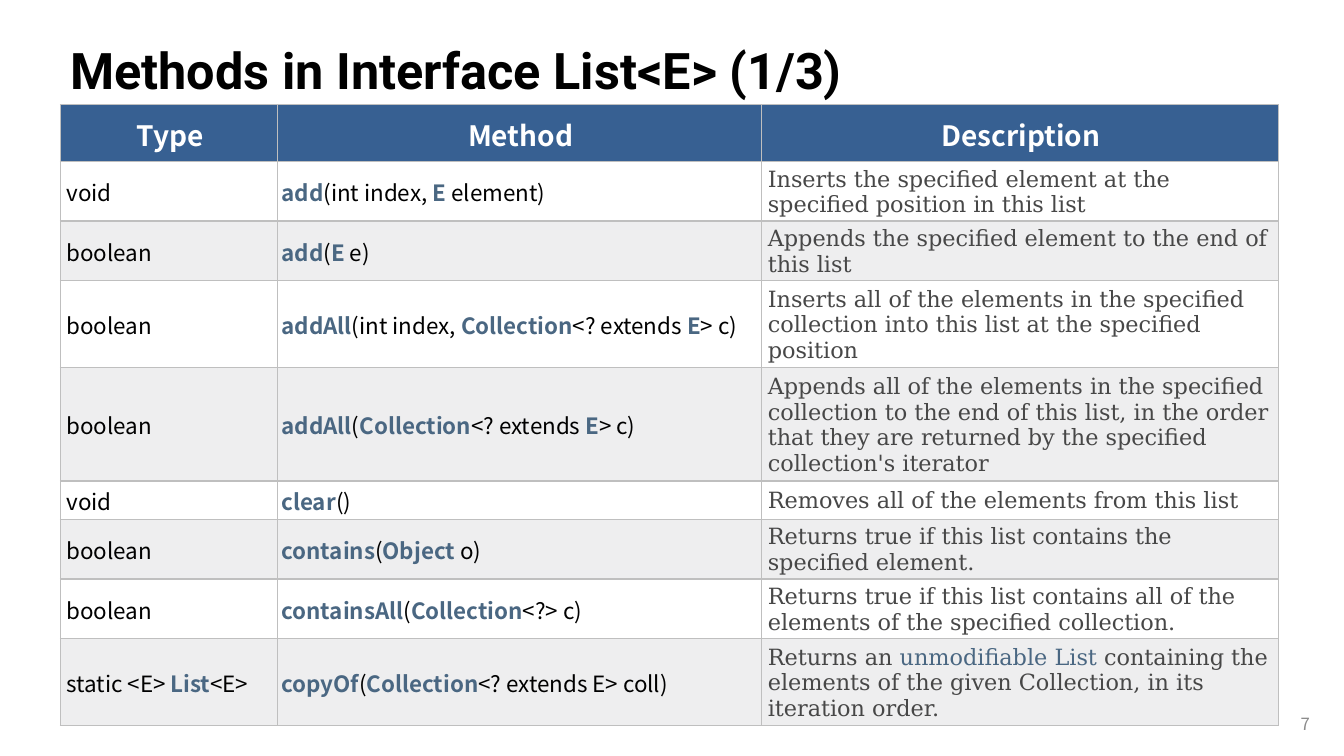
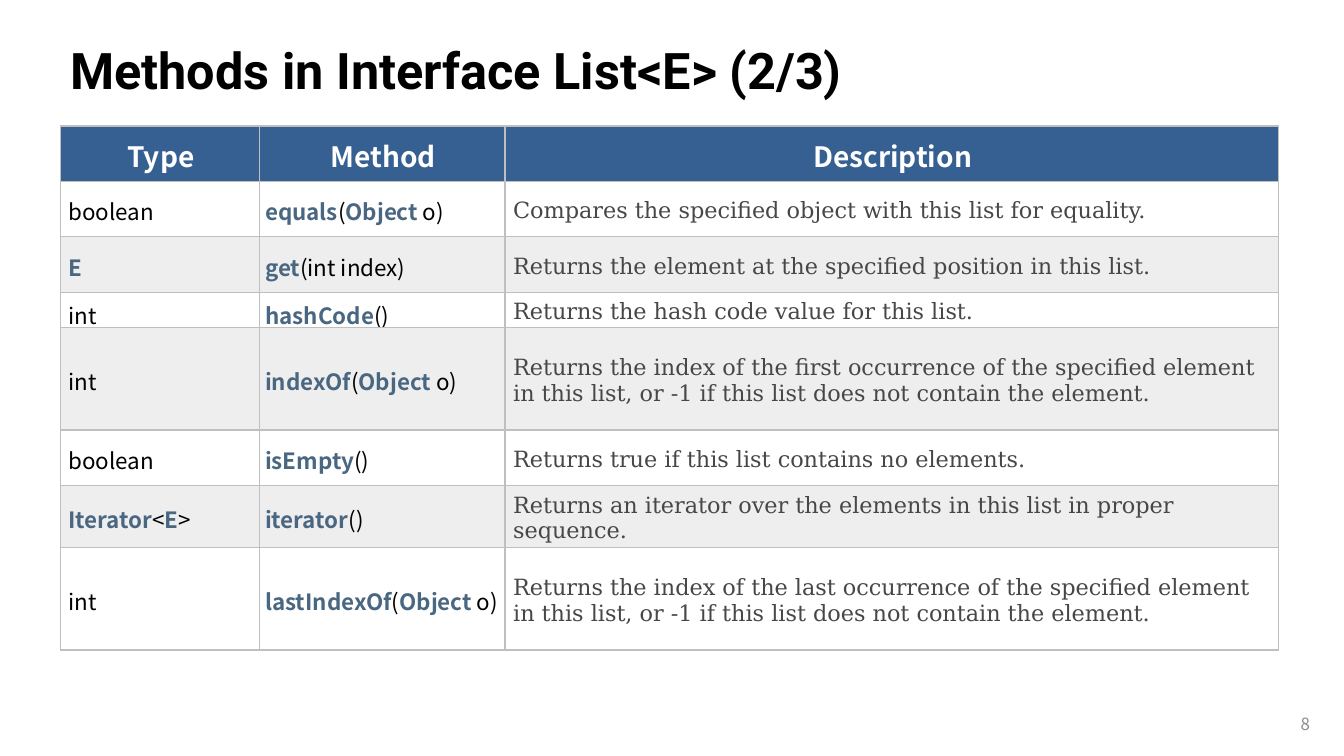
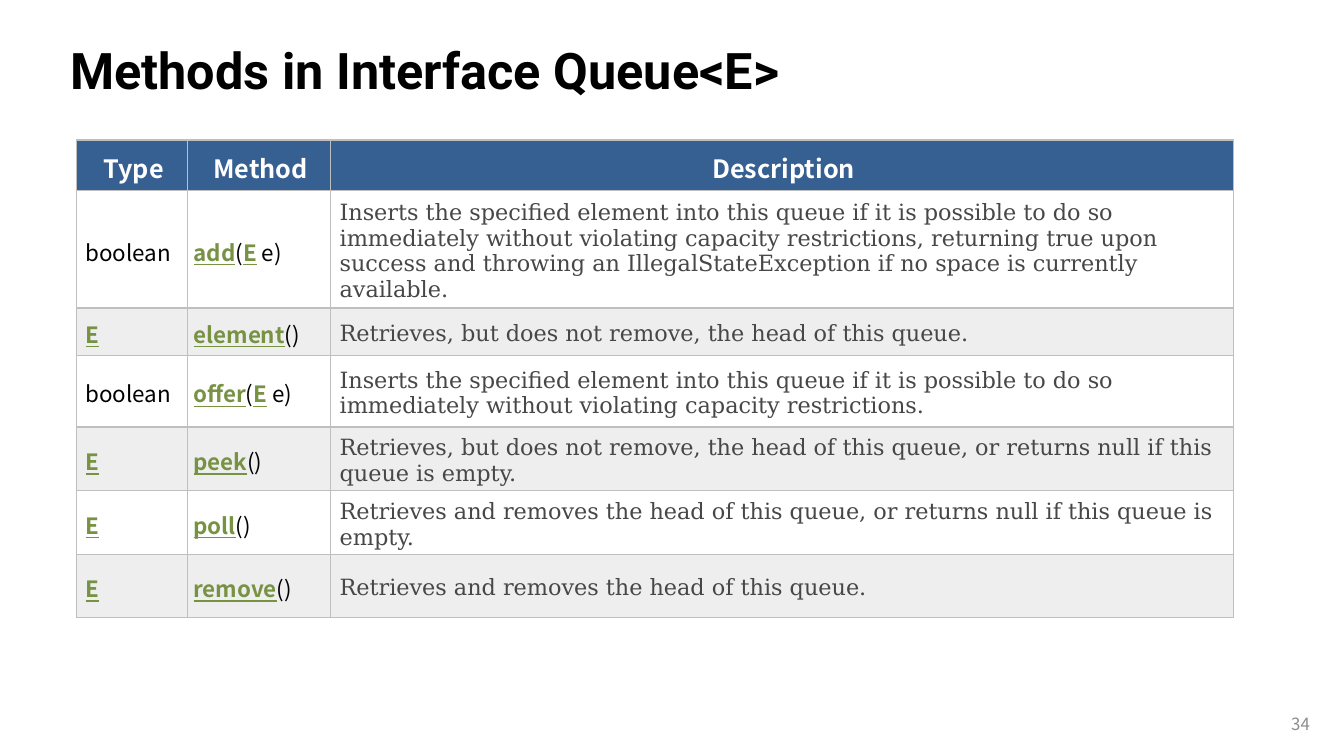
from pptx import Presentation, util as u
from pptx.dml.color import RGBColor
from pptx.enum import text
from pptx.oxml import parse_xml
from pptx.oxml.ns import nsdecls

COLOURS = {
    "title": "000000", "code": "000000", "prose": "474747", "page": "8C8C8C",
    "head": "376092", "head_text": "FFFFFF", "odd": "FFFFFF", "even": "EEEEEF",
    "border": "BFBFBF", "link": "4A6782", "green": "789244",
}
HEADINGS = ("Type", "Method", "Description")
ALIGN, ANCHOR = text.PP_ALIGN, text.MSO_ANCHOR


def add_run(p, words, *, font, size, colour, bold=False, underline=False):
    """Add one formatted run; a tilde stands for a no-break space."""
    r = p.add_run()
    r.text = words.replace("~", chr(160))
    r.font.name, r.font.size = font, u.Pt(size)
    r.font.bold, r.font.underline = bold, underline
    r.font.color.rgb = RGBColor.from_string(COLOURS[colour])


class Deck:
    """Shared style and current slide; lengths are percentages of the slide."""
    SANS, SERIF, DISPLAY = "Noto Sans CJK KR", "DejaVu Serif", "Roboto"

    def __init__(self):
        self.prs = Presentation()
        self.prs.slide_width = u.Inches(13.33)
        self.prs.slide_height = u.Inches(7.5)
        self.s = None

    def x(self, share):
        return round(self.prs.slide_width * share / 100)

    def y(self, share):
        return round(self.prs.slide_height * share / 100)

    def slide(self, title, page):
        self.s = self.prs.slides.add_slide(self.prs.slide_layouts[6])
        self.label(title, 4.5, 3.87, 90.6, 10.53,
                   font=self.DISPLAY, size=36, colour="title", bold=True)
        self.label(str(page), 95.1, 93.07, 3.1, 5.33, align=ALIGN.RIGHT,
                   font=self.SANS, size=12, colour="page")

    def label(self, words, left, top, width, height, align=ALIGN.LEFT, **style):
        sp = self.s.shapes.add_textbox(self.x(left), self.y(top),
                                       self.x(width), self.y(height))
        tf = sp.text_frame
        tf.word_wrap, tf.vertical_anchor = True, ANCHOR.MIDDLE
        p = tf.paragraphs[0]
        p.alignment = align
        add_run(p, words, **style)

    def cell(self, cell, words, fill, inset, style, link=None, align=ALIGN.LEFT):
        """Fill a cell; words between asterisks take the link format."""
        cell.fill.solid()
        cell.fill.fore_color.rgb = RGBColor.from_string(COLOURS[fill])
        cell.vertical_anchor = ANCHOR.MIDDLE
        (cell.margin_left, cell.margin_top,
         cell.margin_right, cell.margin_bottom) = map(u.Inches, inset)
        p = cell.text_frame.paragraphs[0]
        p.alignment = align
        for i, part in enumerate(words.split("*")):
            if part:
                add_run(p, part, **(style | link if i % 2 else style))
        self.borders(cell)

    def borders(self, cell):
        tcPr = cell._tc.get_or_add_tcPr()
        for i, side in enumerate("LRTB"):
            tcPr.insert(i, parse_xml(
                f'<a:ln{side} {nsdecls("a")} w="{u.Pt(1)}"><a:solidFill>'
                f'<a:srgbClr val="{COLOURS["border"]}"/></a:solidFill></a:ln{side}>'))

    def methods(self, left, top, widths, head_height, rows, *, head_inset,
                name_inset, wide_inset, head_size=20, link="link", underline=False):
        """Table of methods; each row is height, type, method, description."""
        heights = [head_height] + [row[0] for row in rows]
        table = self.s.shapes.add_table(
            len(heights), len(widths), self.x(left), self.y(top),
            self.x(sum(widths)), self.y(sum(heights))).table
        for column, width in zip(table.columns, widths):
            column.width = self.x(width)
        for row, height in zip(table.rows, heights):
            row.height = self.y(height)

        # Header row
        head = dict(font=self.SANS, size=head_size, colour="head_text", bold=True)
        for c, words in enumerate(HEADINGS):
            self.cell(table.cell(0, c), words, "head", head_inset, head,
                      align=ALIGN.CENTER)

        # Body rows
        code = dict(font=self.SANS, size=16, colour="code")
        prose = dict(font=self.SERIF, size=16, colour="prose")
        code_link = dict(colour=link, bold=True, underline=underline)
        columns = ((wide_inset, code, code_link), (name_inset, code, code_link),
                   (wide_inset, prose, dict(colour=link)))
        for n, (_, *entries) in enumerate(rows, 1):
            fill = "odd" if n % 2 else "even"
            for c, (words, formats) in enumerate(zip(entries, columns)):
                self.cell(table.cell(n, c), words, fill, *formats)


LIST_1 = [
    (7.2, "void", "*add*(int~index,~*E*~element)",
     "Inserts the specified element at the specified position in this list"),
    (5.07, "boolean", "*add*(*E*~e)",
     "Appends the specified element to the end of this list"),
    (7.2, "boolean", "*addAll*(int~index,~*Collection*<? extends~*E*>~c)",
     "Inserts all of the elements in the specified collection into this list "
     "at the specified position"),
    (11.47, "boolean", "*addAll*(*Collection*<? extends~*E*>~c)",
     "Appends all of the elements in the specified collection to the end of this "
     "list, in the order that they are returned by the specified collection's iterator"),
    (5.07, "void", "*clear*()", "Removes all of the elements from this list"),
    (5.07, "boolean", "*contains*(*Object*~o)",
     "Returns~true~if this list contains the specified element."),
    (5.07, "boolean", "*containsAll*(*Collection*<?>~c)",
     "Returns~true~if this list contains all of the elements of the "
     "specified collection."),
    (7.2, "static <E>~*List*<E>", "*copyOf*(*Collection*<? extends E>~coll)",
     "Returns an~*unmodifiable List*~containing the elements of the given "
     "Collection, in its iteration order."),
]
INDEX_OF = ("Returns the index of the {} occurrence of the specified element in "
            "this list, or -1 if this list does not contain the element.")
LIST_2 = [
    (7.33, "boolean", "*equals*(*Object*~o)",
     "Compares the specified object with this list for equality."),
    (7.33, "*E*", "*get*(int~index)",
     "Returns the element at the specified position in this list."),
    (4.27, "int", "*hashCode*()", "Returns the hash code value for this list."),
    (13.6, "int", "*indexOf*(*Object*~o)", INDEX_OF.format("first")),
    (7.33, "boolean", "*isEmpty*()",
     "Returns~true~if this list contains no elements."),
    (7.33, "*Iterator*<*E*>", "*iterator*()",
     "Returns an iterator over the elements in this list in proper sequence."),
    (13.6, "int", "*lastIndexOf*(*Object*~o)", INDEX_OF.format("last")),
]
INSERTS = ("Inserts the specified element into this queue if it is possible to do "
           "so immediately without violating capacity restrictions")
QUEUE = [
    (12.67, "boolean", "*add*(*E*~e)",
     INSERTS + ", returning~true~upon success and throwing an"
     "~IllegalStateException~if no space is currently available."),
    (6.27, "*E*", "*element*()",
     "Retrieves, but does not remove, the head of this queue."),
    (9.47, "boolean", "*offer*(*E*~e)", INSERTS + "."),
    (6.27, "*E*", "*peek*()",
     "Retrieves, but does not remove, the head of this queue, or returns~null~if "
     "this queue is empty."),
    (7.33, "*E*", "*poll*()",
     "Retrieves and removes the head of this queue, or returns~null~if this "
     "queue is empty."),
    (8.27, "*E*", "*remove*()", "Retrieves and removes the head of this queue."),
]


def main():
    deck = Deck()
    tight = (0.04, 0.04, 0.02, 0.02)
    roomy = (0.06, 0.07, 0.03, 0.03)

    # List methods, first part
    deck.slide("Methods in Interface List<E> (1/3)", 7)
    deck.methods(4.5, 13.87, (16.15, 36.03, 38.42), 7.47, LIST_1,
                 head_inset=tight, name_inset=tight,
                 wide_inset=(0.06, 0.04, 0.05, 0.02))

    # List methods, second part
    deck.slide("Methods in Interface List<E> (2/3)", 8)
    deck.methods(4.5, 16.67, (14.78, 18.3, 57.52), 7.33, LIST_2,
                 head_inset=tight, name_inset=(0.06, 0.06, 0.02, 0.02),
                 wide_inset=(0.08, 0.06, 0.08, 0.02))

    # Queue methods
    deck.slide("Methods in Interface Queue<E>", 34)
    deck.methods(5.7, 18.53, (8.25, 10.65, 67.2), 6.67, QUEUE,
                 head_inset=roomy, name_inset=roomy,
                 wide_inset=(0.09, 0.07, 0.09, 0.03),
                 head_size=18, link="green", underline=True)

    deck.prs.save("out.pptx")


if __name__ == "__main__":
    main()
